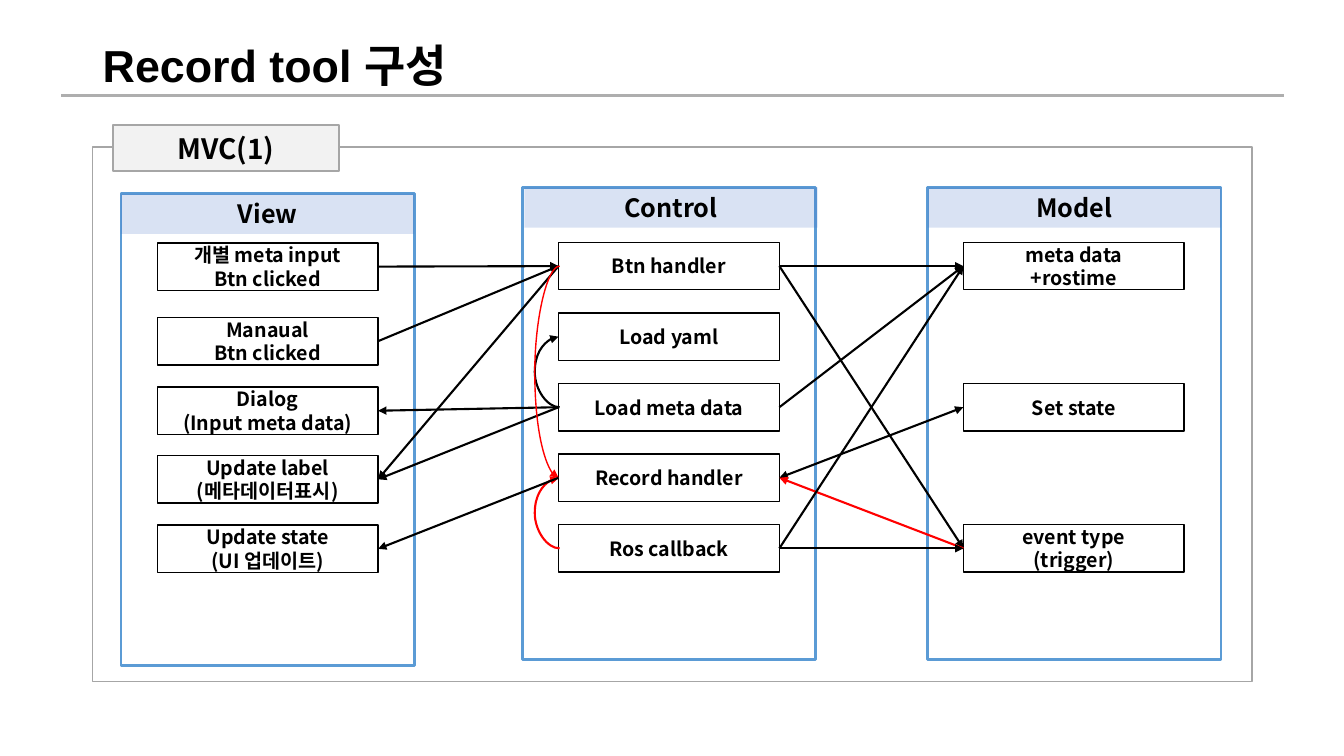
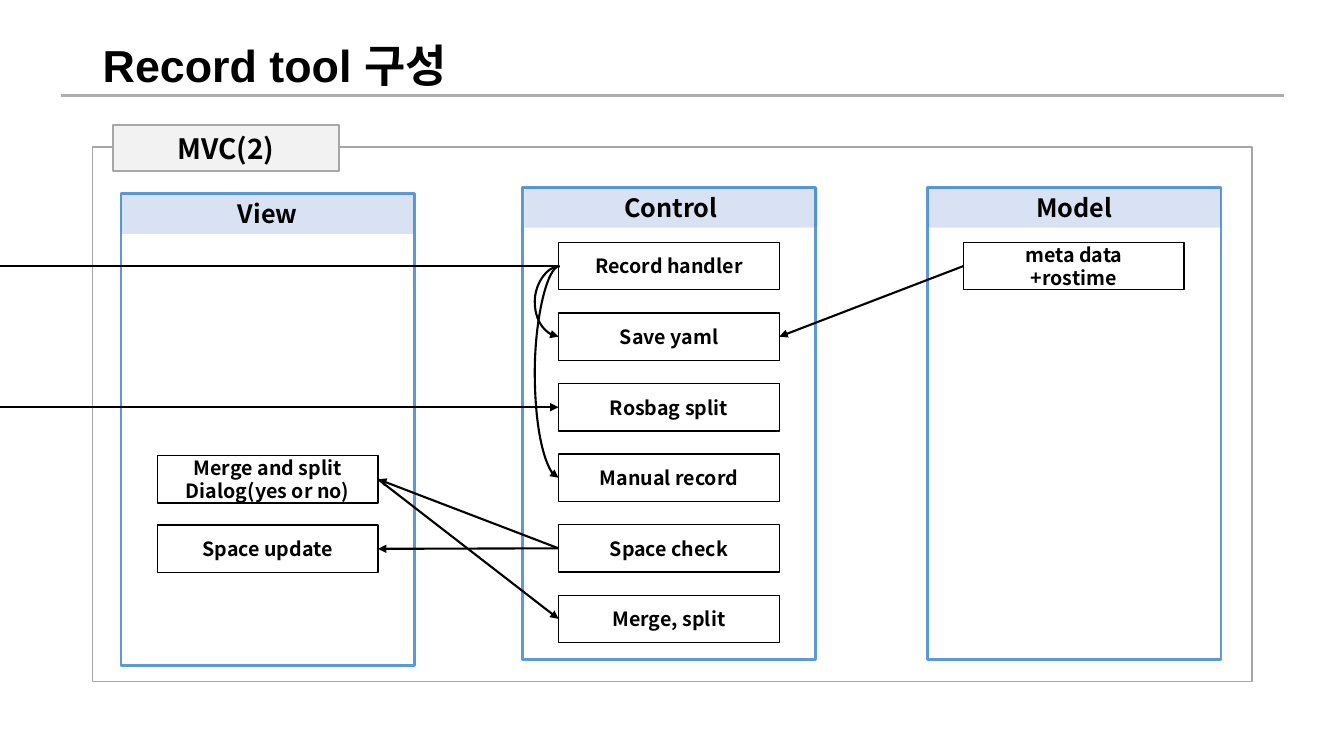
"""Build the two Record tool slides, each showing one View, Control and Model diagram."""
from dataclasses import dataclass
from typing import Optional

from lxml.etree import SubElement
from pptx import Presentation
from pptx.dml.color import RGBColor
from pptx.enum.shapes import MSO_CONNECTOR, MSO_SHAPE
from pptx.enum.text import MSO_ANCHOR, PP_ALIGN
from pptx.oxml.ns import qn
from pptx.shapes.autoshape import Shape
from pptx.shapes.connector import Connector
from pptx.slide import Slide
from pptx.util import Inches, Pt

COLORS = {
    "text": "000000",
    "rule": "AEAEAE",
    "panel": "FFFFFF",
    "panel_line": "A6A6A6",
    "tag": "F2F2F2",
    "column_line": "5B9BD5",
    "header": "4472C4",
    "flow": "000000",
    "trigger": "FF0000",
}
BODY_FONT = "Noto Sans CJK KR"
TITLE_FONT = "Arial"
TITLE = "Record tool 구성"
COLUMN_WIDTH, COLUMN_HEIGHT, HEADER_HEIGHT = 2.91, 4.68, 0.4
BOX_WIDTH, BOX_HEIGHT = 2.19, 0.47
LEFT_SITE, RIGHT_SITE = 1, 3
LOOP_WIDTH, LOOP_REACH = 0.01, 0.25
GRID_TOPS = tuple(round(2.405 + 0.7 * row, 3) for row in range(6))
VIEW_TOPS = (2.41, 3.15, 3.84, 4.52, 5.21)


@dataclass(frozen=True)
class Column:
    left: float
    top: float
    header_left: float
    box_left: float
    box_tops: tuple[float, ...]


@dataclass(frozen=True)
class Box:
    column: str
    row: int
    text: str

    @property
    def name(self) -> str:
        return self.text.split("\n")[0]


@dataclass(frozen=True)
class Link:
    source: str
    target: str
    color: str = "flow"
    width: float = 1.5
    both_ways: bool = False


@dataclass(frozen=True)
class EdgeLine:
    box: str
    arrow: bool


@dataclass(frozen=True)
class Diagram:
    tag: str
    boxes: tuple[Box, ...]
    links: tuple[Link, ...]
    edge_lines: tuple[EdgeLine, ...] = ()


COLUMNS = {
    "Model": Column(9.2, 1.86, 9.2, 9.555, GRID_TOPS),
    "Control": Column(5.18, 1.86, 5.2, 5.54, GRID_TOPS),
    "View": Column(1.2, 1.92, 1.2, 1.56, VIEW_TOPS),
}

DIAGRAMS = (
    Diagram(
        "MVC(1)",
        (
            Box("View", 0, "개별 meta input\nBtn clicked"),
            Box("View", 1, "Manaual\nBtn clicked"),
            Box("View", 2, "Dialog\n(Input meta data)"),
            Box("View", 3, "Update label\n(메타데이터표시)"),
            Box("View", 4, "Update state\n(UI 업데이트)"),
            Box("Control", 0, "Btn handler"),
            Box("Control", 1, "Load yaml"),
            Box("Control", 2, "Load meta data"),
            Box("Control", 3, "Record handler"),
            Box("Control", 4, "Ros callback"),
            Box("Model", 0, "meta data\n+rostime"),
            Box("Model", 2, "Set state"),
            Box("Model", 4, "event type\n(trigger)"),
        ),
        (
            Link("개별 meta input", "Btn handler"),
            Link("Btn handler", "meta data"),
            Link("Btn handler", "event type"),
            Link("Btn handler", "Update label"),
            Link("Load meta data", "Load yaml"),
            Link("Load meta data", "meta data"),
            Link("Load meta data", "Dialog"),
            Link("Load meta data", "Update label"),
            Link("Manaual", "Btn handler"),
            Link("Btn handler", "Record handler", "trigger", 1),
            Link("Ros callback", "Record handler", "trigger"),
            Link("Record handler", "Update state"),
            Link("Set state", "Record handler", both_ways=True),
            Link("event type", "Record handler", "trigger"),
            Link("Ros callback", "event type"),
            Link("Ros callback", "meta data"),
        ),
    ),
    Diagram(
        "MVC(2)",
        (
            Box("View", 3, "Merge and split\nDialog(yes or no)"),
            Box("View", 4, "Space update"),
            Box("Control", 0, "Record handler"),
            Box("Control", 1, "Save yaml"),
            Box("Control", 2, "Rosbag split"),
            Box("Control", 3, "Manual record"),
            Box("Control", 4, "Space check"),
            Box("Control", 5, "Merge, split"),
            Box("Model", 0, "meta data\n+rostime"),
        ),
        (
            Link("Record handler", "Save yaml"),
            Link("meta data", "Save yaml"),
            Link("Record handler", "Manual record"),
            Link("Space check", "Space update"),
            Link("Space check", "Merge and split"),
            Link("Merge and split", "Merge, split"),
        ),
        (EdgeLine("Record handler", False), EdgeLine("Rosbag split", True)),
    ),
)


def rgb(color: str) -> RGBColor:
    return RGBColor.from_string(COLORS[color])


def write(shape: Shape, text: str, size: float, font: str = BODY_FONT,
          align: PP_ALIGN = PP_ALIGN.CENTER, anchor: MSO_ANCHOR = MSO_ANCHOR.MIDDLE) -> None:
    frame = shape.text_frame
    frame.text = text
    frame.word_wrap = True
    frame.vertical_anchor = anchor
    for paragraph in frame.paragraphs:
        paragraph.alignment = align
        for run in paragraph.runs:
            run.font.size, run.font.bold, run.font.name = Pt(size), True, font
            run.font.color.rgb = rgb("text")
            SubElement(run.font._element, qn("a:ea")).set("typeface", BODY_FONT)


def add_rect(slide: Slide, left: float, top: float, width: float, height: float,
             fill: Optional[str] = None, line: Optional[str] = None, line_width: float = 1) -> Shape:
    rect = slide.shapes.add_shape(
        MSO_SHAPE.RECTANGLE, Inches(left), Inches(top), Inches(width), Inches(height))
    rect.shadow.inherit = False
    if fill:
        rect.fill.solid()
        rect.fill.fore_color.rgb = rgb(fill)
    else:
        rect.fill.background()
    if line:
        rect.line.color.rgb = rgb(line)
        rect.line.width = Pt(line_width)
    else:
        rect.line.fill.background()
    return rect


def add_line(slide: Slide, start: tuple[float, float], end: tuple[float, float], color: str, width: float,
             kind: MSO_CONNECTOR = MSO_CONNECTOR.STRAIGHT) -> Connector:
    connector = slide.shapes.add_connector(kind, *(Inches(value) for value in (*start, *end)))
    connector.line.color.rgb = rgb(color)
    connector.line.width = Pt(width)
    SubElement(connector._element.spPr, qn("a:effectLst"))
    return connector


def add_arrowhead(connector: Connector, end: str = "tailEnd") -> None:
    SubElement(connector.line._get_or_add_ln(), qn(f"a:{end}")).set("type", "triangle")


def bow_left(connector: Connector, upward: bool) -> None:
    """Turn a curve between two left sites into a loop that bulges to the left."""
    connector.width = Inches(LOOP_WIDTH)
    properties = connector._element.spPr
    xfrm = properties.find(qn("a:xfrm"))
    for flip in ("flipH", "flipV"):
        xfrm.attrib.pop(flip, None)
    xfrm.set("rot", "10800000")
    if not upward:
        xfrm.set("flipV", "1")
    guide = SubElement(properties.find(qn("a:prstGeom")).find(qn("a:avLst")), qn("a:gd"))
    guide.set("name", "adj1")
    guide.set("fmla", f"val {round(LOOP_REACH / LOOP_WIDTH * 100000)}")


def add_link(slide: Slide, link: Link, shapes: dict[str, Shape]) -> None:
    source, target = shapes[link.source], shapes[link.target]
    loop = source.left == target.left
    kind = MSO_CONNECTOR.CURVE if loop else MSO_CONNECTOR.STRAIGHT
    connector = add_line(slide, (0, 0), (0, 0), link.color, link.width, kind)
    connector.begin_connect(source, RIGHT_SITE if source.left < target.left else LEFT_SITE)
    connector.end_connect(target, RIGHT_SITE if source.left > target.left else LEFT_SITE)
    if loop:
        bow_left(connector, upward=source.top > target.top)
    if link.both_ways:
        add_arrowhead(connector, "headEnd")
    add_arrowhead(connector)


def add_edge_line(slide: Slide, edge_line: EdgeLine, shapes: dict[str, Shape]) -> None:
    box = shapes[edge_line.box]
    middle = (box.top + box.height / 2) / Inches(1)
    connector = add_line(slide, (0, middle), (1, middle), "flow", 1.5)
    connector.end_connect(box, LEFT_SITE)
    if edge_line.arrow:
        add_arrowhead(connector)


def add_title(slide: Slide) -> None:
    add_line(slide, (0.61, 0.95), (12.73, 0.95), "rule", 2)
    title = slide.shapes.add_textbox(Inches(0.92), Inches(0.4), Inches(11.07), Inches(0.55))
    write(title, TITLE, 32, TITLE_FONT, PP_ALIGN.LEFT)
    title.text_frame.paragraphs[0].line_spacing = 0.9


def add_header(slide: Slide, name: str, column: Column) -> None:
    header = add_rect(slide, column.header_left, column.top, COLUMN_WIDTH, HEADER_HEIGHT, "header")
    color = header._element.spPr.find(qn("a:solidFill")).find(qn("a:srgbClr"))
    SubElement(color, qn("a:alpha")).set("val", "20000")
    write(header, name, 18, anchor=MSO_ANCHOR.TOP)


def add_box(slide: Slide, box: Box) -> Shape:
    column = COLUMNS[box.column]
    rect = add_rect(slide, column.box_left, column.box_tops[box.row], BOX_WIDTH, BOX_HEIGHT, line="text")
    write(rect, box.text, 14)
    return rect


def add_tag(slide: Slide, text: str) -> None:
    tag = add_rect(slide, 1.12, 1.24, 2.24, 0.46, "tag", "panel_line", 1.5)
    write(tag, text, 20)
    frame = tag.text_frame
    frame.margin_left = frame.margin_right = Inches(0.08)
    frame.margin_top = frame.margin_bottom = Inches(0.04)


def draw_diagram(slide: Slide, diagram: Diagram) -> None:
    add_title(slide)
    add_rect(slide, 0.92, 1.46, 11.5, 5.3, "panel", "panel_line")
    for column in COLUMNS.values():
        add_rect(slide, column.left, column.top, COLUMN_WIDTH, COLUMN_HEIGHT, line="column_line", line_width=2)
    shapes = {box.name: add_box(slide, box) for box in diagram.boxes}
    for name, column in COLUMNS.items():
        add_header(slide, name, column)
    add_tag(slide, diagram.tag)
    for link in diagram.links:
        add_link(slide, link, shapes)
    for edge_line in diagram.edge_lines:
        add_edge_line(slide, edge_line, shapes)


def main() -> None:
    presentation = Presentation()
    presentation.slide_width, presentation.slide_height = Inches(13.33), Inches(7.5)
    for diagram in DIAGRAMS:
        draw_diagram(presentation.slides.add_slide(presentation.slide_layouts[6]), diagram)
    presentation.save("out.pptx")


if __name__ == "__main__":
    main()
